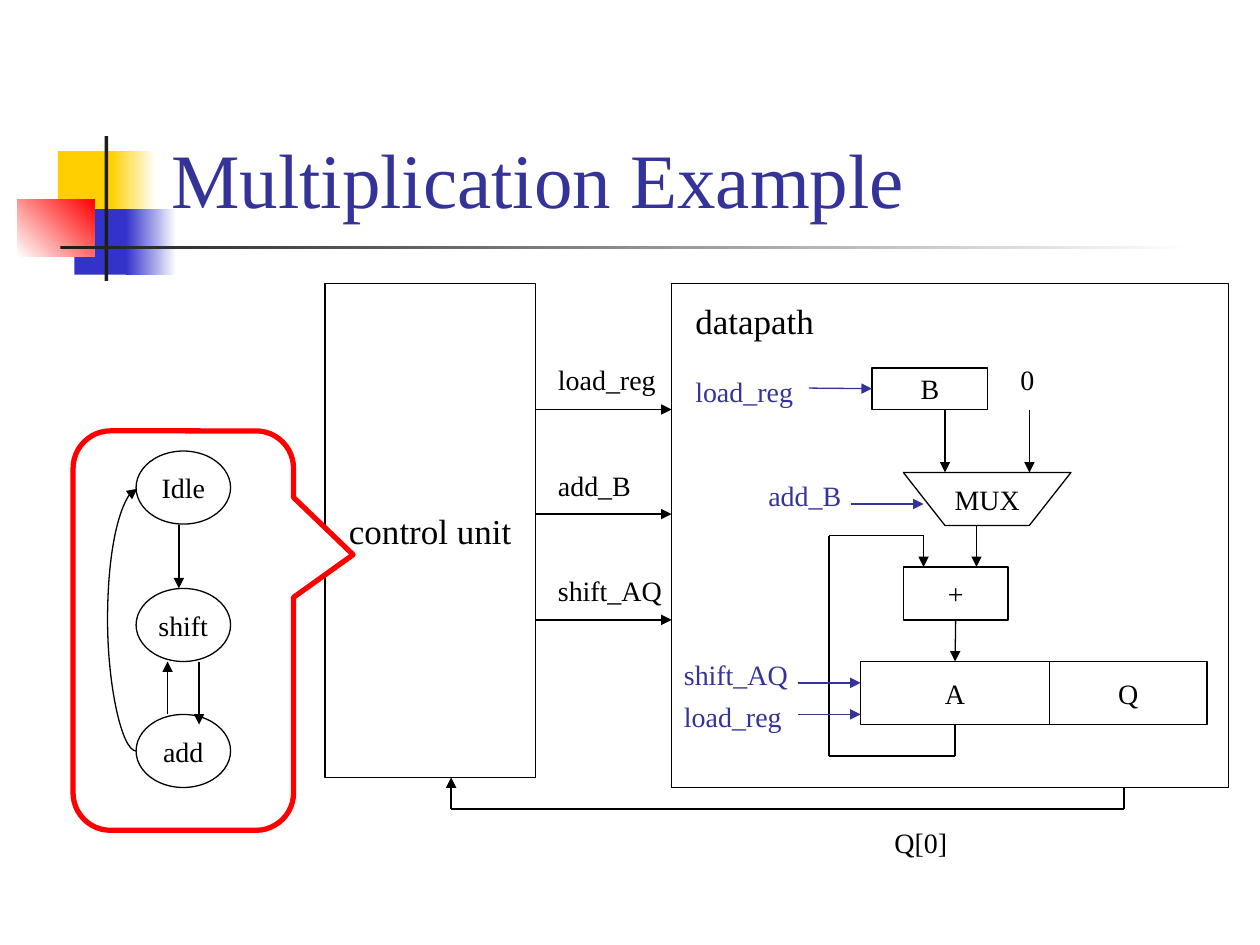
from lxml import etree
from pptx import Presentation
from pptx.dml.color import RGBColor
from pptx.enum import shapes as kinds, text as styles
from pptx.oxml import ns
from pptx.util import Inches, Pt

FONT = "Times New Roman"
BLACK, WHITE, BLUE, RED = "000000", "FFFFFF", "333399", "FF0000"
GOLD, INDIGO, CHARCOAL = "FFCF01", "3333CC", "1C1C1C"
SHAPE = kinds.MSO_SHAPE

# left, top, width, height, colours (two make a gradient), angle
ORNAMENTS = [
    (0.46, 1.2, 0.48, 0.52, [GOLD], 0),
    (0.88, 1.2, 0.36, 0.52, [GOLD, WHITE], 0),
    (0.59, 1.66, 0.46, 0.52, [INDIGO], 0),
    (1, 1.66, 0.4, 0.52, [INDIGO, WHITE], 0),
    (0.14, 1.58, 0.61, 0.46, [WHITE, RED], 45),
    (0.83, 1.08, 0.03, 1.15, [CHARCOAL], 0),
    (0.48, 1.95, 9, 0.03, [CHARCOAL, WHITE], 0),
]

# name: kind, left, top, width, height, text, size
BLOCKS = {
    "datapath": (SHAPE.RECTANGLE, 5.33, 2.25, 4.42, 4, "", 20),
    "control": (SHAPE.RECTANGLE, 2.58, 2.25, 1.67, 3.92, "control unit", 20),
    "A": (SHAPE.RECTANGLE, 6.83, 5.25, 1.5, 0.5, "A", 16),
    "Q": (SHAPE.RECTANGLE, 8.33, 5.25, 1.25, 0.5, "Q", 16),
    "adder": (SHAPE.RECTANGLE, 7.17, 4.5, 0.83, 0.42, "+", 16),
    "B": (SHAPE.RECTANGLE, 6.92, 2.92, 0.92, 0.33, "B", 16),
}
STATES = {
    name: (SHAPE.OVAL, 1.08, top, 0.75, 0.58, name, 16)
    for name, top in [("Idle", 3.58), ("shift", 4.67), ("add", 5.67)]
}
MUX = [(7.17, 3.75), (7.5, 4.17), (8.17, 4.17), (8.5, 3.75)]

# left, top, width, text, size, colour
LABELS = [
    (5.42, 2.33, 1.14, "datapath", 20, BLACK),
    (8, 2.83, 0.31, "0", 16, BLACK),
    (4.33, 2.83, 0.98, "load_reg", 16, BLACK),
    (4.33, 3.67, 0.78, "add_B", 16, BLACK),
    (4.33, 4.5, 1.03, "shift_AQ", 16, BLACK),
    (7, 6.5, 0.62, "Q[0]", 16, BLACK),
    (5.42, 2.92, 0.98, "load_reg", 16, BLUE),
    (6, 3.75, 0.78, "add_B", 16, BLUE),
    (5.33, 5.17, 1.03, "shift_AQ", 16, BLUE),
    (5.33, 5.5, 0.98, "load_reg", 16, BLUE),
]

# points, colour, start (block, side), end (block, side); the last leg has the arrowhead
WIRES = [
    ([(7.5, 3.25), (7.5, 3.75)], BLACK, None, None),
    ([(8.17, 3.25), (8.17, 3.75)], BLACK, None, None),
    ([(7.75, 4.17), (7.75, 4.5)], BLACK, None, None),
    ([(7.58, 4.92), (7.58, 5.25)], BLACK, ("adder", 2), ("A", 0)),
    ([(7.58, 5.75), (7.58, 6), (6.58, 6), (6.58, 4.25), (7.33, 4.25), (7.33, 4.5)],
     BLACK, ("A", 2), None),
    ([(8.92, 6.25), (8.92, 6.42), (3.58, 6.42), (3.58, 6.17)], BLACK, None, None),
    ([(6.42, 3.08), (6.92, 3.08)], BLUE, None, ("B", 1)),
    ([(6.75, 4), (7.33, 4)], BLUE, None, None),
    *[([(6.33, y), (6.83, y)], BLUE, None, None) for y in (5.42, 5.67)],
    *[([(4.25, y), (5.33, y)], BLACK, None, None) for y in (3.25, 4.08, 4.92)],
]
TRANSITIONS = [
    ([(1.42, 4.17), (1.42, 4.67)], BLACK, None, None),
    ([(1.58, 5.25), (1.58, 5.75)], BLACK, None, None),
    ([(1.33, 5.67), (1.33, 5.25)], BLACK, None, None),
]

presentation = Presentation()
presentation.slide_width, presentation.slide_height = Inches(10), Inches(7.5)
slide = presentation.slides.add_slide(presentation.slide_layouts[6])
blocks = {}


def rgb(value):
    return RGBColor.from_string(value)


def box(*lengths):
    return [Inches(length) for length in lengths]


def write(shape, text, size, color, **frame_format):
    frame = shape.text_frame
    for name, value in {"word_wrap": False, **frame_format}.items():
        setattr(frame, name, value)
    paragraph = frame.paragraphs[0]
    paragraph.text = text
    for name, value in {"name": FONT, "size": Pt(size)}.items():
        setattr(paragraph.font, name, value)
    paragraph.font.color.rgb = rgb(color)
    return paragraph


def outline(shape, color=BLACK, width=0.75):
    """Leave the shape hollow, with a plain line and no shadow."""
    shape.shadow.inherit = False
    shape.fill.background()
    shape.line.color.rgb = rgb(color)
    shape.line.width = Pt(width)


def add_ornament(left, top, width, height, colors, angle):
    shape = slide.shapes.add_shape(SHAPE.RECTANGLE, *box(left, top, width, height))
    shape.shadow.inherit = False
    shape.line.fill.background()
    if len(colors) == 1:
        shape.fill.solid()
        shape.fill.fore_color.rgb = rgb(colors[0])
        return
    shape.fill.gradient()
    shape.fill.gradient_angle = angle
    for stop, color in zip(shape.fill.gradient_stops, colors):
        stop.color.rgb = rgb(color)


def caption(shape, text, size):
    outline(shape)
    if text:
        paragraph = write(shape, text, size, BLACK,
                          vertical_anchor=styles.MSO_ANCHOR.MIDDLE)
        paragraph.alignment = styles.PP_ALIGN.CENTER


def add_block(name, kind, left, top, width, height, text, size):
    blocks[name] = slide.shapes.add_shape(kind, *box(left, top, width, height))
    caption(blocks[name], text, size)


def add_connector(kind, start, end, color, arrow):
    connector = slide.shapes.add_connector(kind, *box(*start, *end))
    connector.line.color.rgb = rgb(color)
    connector.line.width = Pt(0.75)
    if arrow:
        line = connector.line._get_or_add_ln()
        etree.SubElement(line, ns.qn("a:tailEnd"), type="triangle")
    properties = connector._element.spPr
    etree.SubElement(properties, ns.qn("a:effectLst"))
    return connector


def add_wire(points, color, start, end):
    legs = list(zip(points, points[1:]))
    wires = [add_connector(kinds.MSO_CONNECTOR.STRAIGHT, *leg, color, leg is legs[-1])
             for leg in legs]
    if start:
        wires[0].begin_connect(blocks[start[0]], start[1])
    if end:
        wires[-1].end_connect(blocks[end[0]], end[1])


for ornament in ORNAMENTS:
    add_ornament(*ornament)

title = slide.shapes.add_textbox(*box(1.26, 0.23, 8.52, 1.6))
write(title, "Multiplication Example", 44, BLUE, word_wrap=True,
      vertical_anchor=styles.MSO_ANCHOR.BOTTOM)

for name, block in BLOCKS.items():
    add_block(name, *block)

builder = slide.shapes.build_freeform(*box(*MUX[0]))
builder.add_line_segments([box(*point) for point in MUX[1:]], close=True)
caption(builder.convert_to_shape(), "MUX", 16)

for wire in WIRES:
    add_wire(*wire)

for left, top, width, text, size, color in LABELS:
    label = slide.shapes.add_textbox(*box(left, top, width, 0.37 if size == 16 else 0.43))
    write(label, text, size, color, auto_size=styles.MSO_AUTO_SIZE.SHAPE_TO_FIT_TEXT)

callout = slide.shapes.add_shape(SHAPE.ROUNDED_RECTANGULAR_CALLOUT,
                                 *box(0.58, 3.42, 1.75, 3.17))
outline(callout, RED, 3)
callout.fill.solid()
callout.fill.fore_color.rgb = rgb(WHITE)
for index, adjustment in enumerate([0.77, -0.19, 0.17]):
    callout.adjustments[index] = adjustment

for name, state in STATES.items():
    add_block(name, *state)
for transition in TRANSITIONS:
    add_wire(*transition)

back_to_idle = add_connector(kinds.MSO_CONNECTOR.CURVE, (1.08, 5.96), (1.09, 3.88), BLACK, True)
bulge = back_to_idle._element.spPr.prstGeom.get_or_add_avLst()
etree.SubElement(bulge, ns.qn("a:gd"), name="adj1", fmla="val -2300000")

presentation.save("out.pptx")
